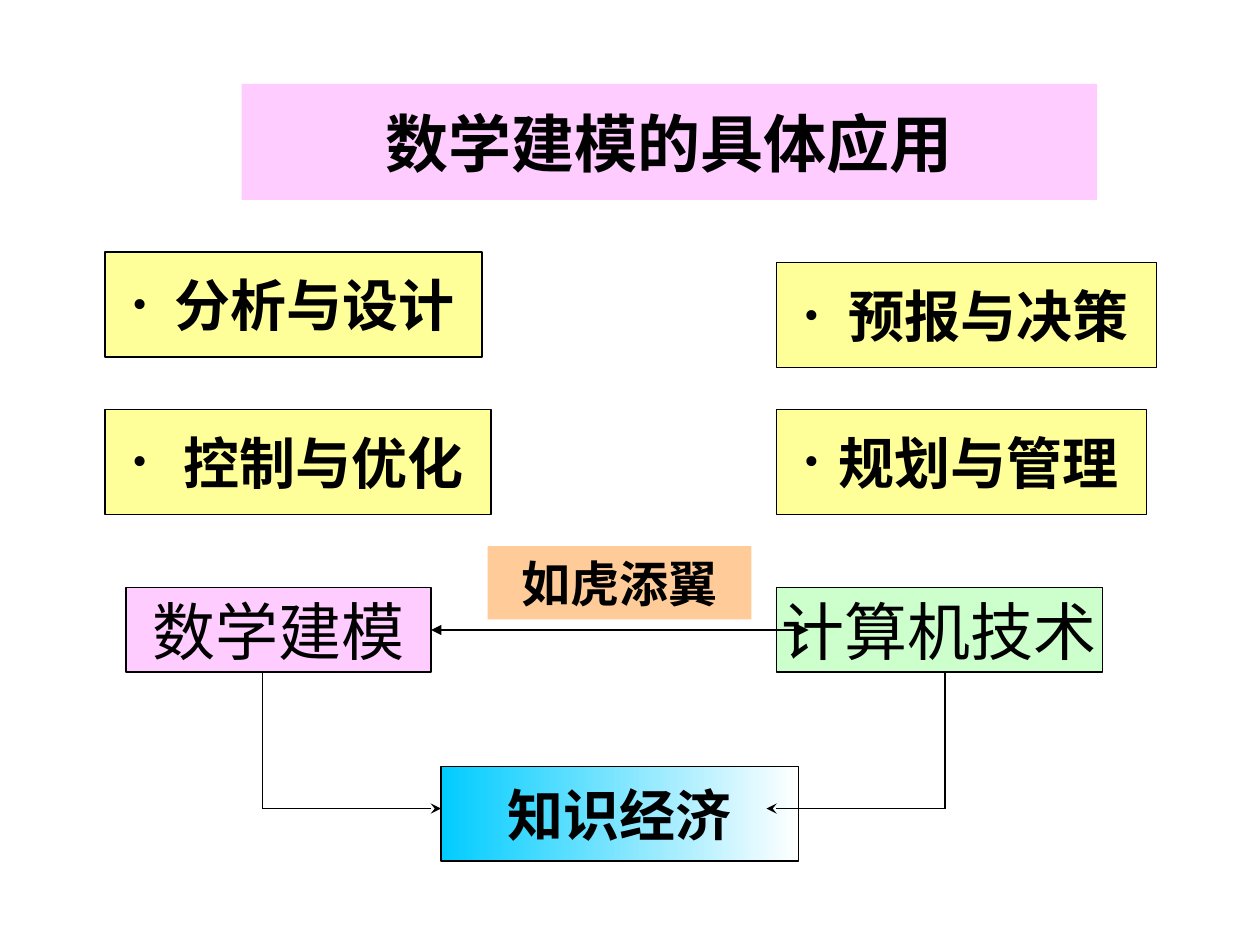
from lxml.etree import SubElement
from pptx import Presentation
from pptx.dml.color import RGBColor
from pptx.enum.shapes import MSO_CONNECTOR, MSO_SHAPE
from pptx.enum.text import MSO_ANCHOR, PP_ALIGN
from pptx.oxml.ns import qn
from pptx.util import Cm, Pt

COLOURS = {"ink": "000000", "pink": "FFCCFF", "yellow": "FFFF99", "green": "CCFFCC",
           "orange": "FFCC99", "blue": "00CCFF", "white": "FFFFFF"}
LATIN, CHINESE = "Times New Roman", "Noto Sans CJK SC"


def colour(name):
    return RGBColor.from_string(COLOURS[name])


class Painter:
    """Holds the line and text style and the slide being drawn."""

    line_width = Pt(0.75)
    frame_format = {"vertical_anchor": MSO_ANCHOR.MIDDLE,
                    "margin_left": Cm(0.25), "margin_right": Cm(0.25),
                    "margin_top": Cm(0.13), "margin_bottom": Cm(0.13)}

    def __init__(self, slide):
        self.slide = slide

    def set_text(self, shape, text, size, bold=True, font=LATIN, wrap=False):
        frame = shape.text_frame
        for name, value in {**self.frame_format, "word_wrap": wrap}.items():
            setattr(frame, name, value)
        para = frame.paragraphs[0]
        para.alignment = PP_ALIGN.CENTER
        span = para.add_run()
        span.text = text
        span.font.color.rgb = colour("ink")
        for name, value in {"size": Pt(size), "bold": bold, "name": font}.items():
            setattr(span.font, name, value)
        SubElement(span.font._element, qn("a:ea"), typeface=CHINESE)
        return para

    def title(self, text, place, fill):
        title = self.slide.shapes.title
        for name, value in zip(("left", "top", "width", "height"), place):
            setattr(title, name, Cm(value))
        title.fill.solid()
        title.fill.fore_color.rgb = colour(fill)
        self.set_text(title, text, 36, font=CHINESE)

    def box(self, place, fills, outlined=True):
        """Draw a rectangle; two fill names make a left-to-right gradient."""
        box = self.slide.shapes.add_shape(MSO_SHAPE.RECTANGLE, *map(Cm, place))
        box.shadow.inherit = False
        if len(fills) == 1:
            box.fill.solid()
            box.fill.fore_color.rgb = colour(fills[0])
        else:
            box.fill.gradient()
            box.fill.gradient_angle = 0
            for stop, name in zip(box.fill.gradient_stops, fills):
                stop.color.rgb = colour(name)
        if outlined:
            box.line.color.rgb = colour("ink")
            box.line.width = self.line_width
        else:
            box.line.fill.background()
        return box

    def label(self, text, place, *fills, size=32, bold=True, outlined=True):
        box = self.box(place, fills, outlined)
        self.set_text(box, text, size, bold)
        return box

    def bullet_box(self, text, place):
        box = self.box(place, ["yellow"])
        para = self.set_text(box, text, 32, wrap=True)
        para.alignment = PP_ALIGN.LEFT
        # The text ends at a fixed distance from the right edge of its box.
        bullet_left, text_left = Cm(0.3), Cm(place[2] - 6.45)
        properties = para._p.get_or_add_pPr()
        properties.set("marL", str(text_left))
        properties.set("indent", str(bullet_left - text_left))
        SubElement(properties, qn("a:buSzPct"), val="75000")
        SubElement(properties, qn("a:buFont"), typeface=LATIN)
        SubElement(properties, qn("a:buChar"), char="•")

    def line(self, start, end, head=None, tail=None):
        line = self.slide.shapes.add_connector(
            MSO_CONNECTOR.STRAIGHT, *map(Cm, (*start, *end)))
        line.line.color.rgb = colour("ink")
        line.line.width = self.line_width
        for tag, kind in (("a:headEnd", head), ("a:tailEnd", tail)):
            if kind:
                SubElement(line.line._get_or_add_ln(), qn(tag), type=kind)
        SubElement(line._element.spPr, qn("a:effectLst"))
        return line


def main():
    deck = Presentation()
    deck.slide_width, deck.slide_height = Cm(25.4), Cm(19.05)
    painter = Painter(deck.slides.add_slide(deck.slide_layouts[5]))

    painter.title("数学建模的具体应用", (4.87, 1.69, 17.25, 2.34), "pink")

    left, right = 2.12, 15.66
    for text, x, y, width in (("分析与设计", left, 5.08, 7.6),
                              ("预报与决策", right, 5.29, 7.65),
                              ("控制与优化", left, 8.25, 7.78),
                              ("规划与管理", right, 8.25, 7.45)):
        painter.bullet_box(text, (x, y, width, 2.12))

    modelling = painter.label("数学建模", (2.54, 11.85, 6.15, 1.7), "pink",
                              size=36, bold=False)
    painter.label("计算机技术", (right, 11.85, 6.56, 1.7), "green", size=36, bold=False)
    painter.label("知识经济", (8.89, 15.45, 7.21, 1.91), "blue", "white")

    box_bottom, turn = 13.55, 16.3
    for x, tip in ((5.29, 8.89), (19.05, 15.45)):
        painter.line((x, box_bottom), (x, turn))
        painter.line((x, turn), (tip, turn), tail="stealth")

    link = painter.line((8.69, 12.7), (16.3, 12.7), head="triangle", tail="triangle")
    link.begin_connect(modelling, 3)
    painter.label("如虎添翼", (9.83, 11.01, 5.32, 1.48), "orange", size=28, outlined=False)

    deck.save("out.pptx")


if __name__ == "__main__":
    main()
